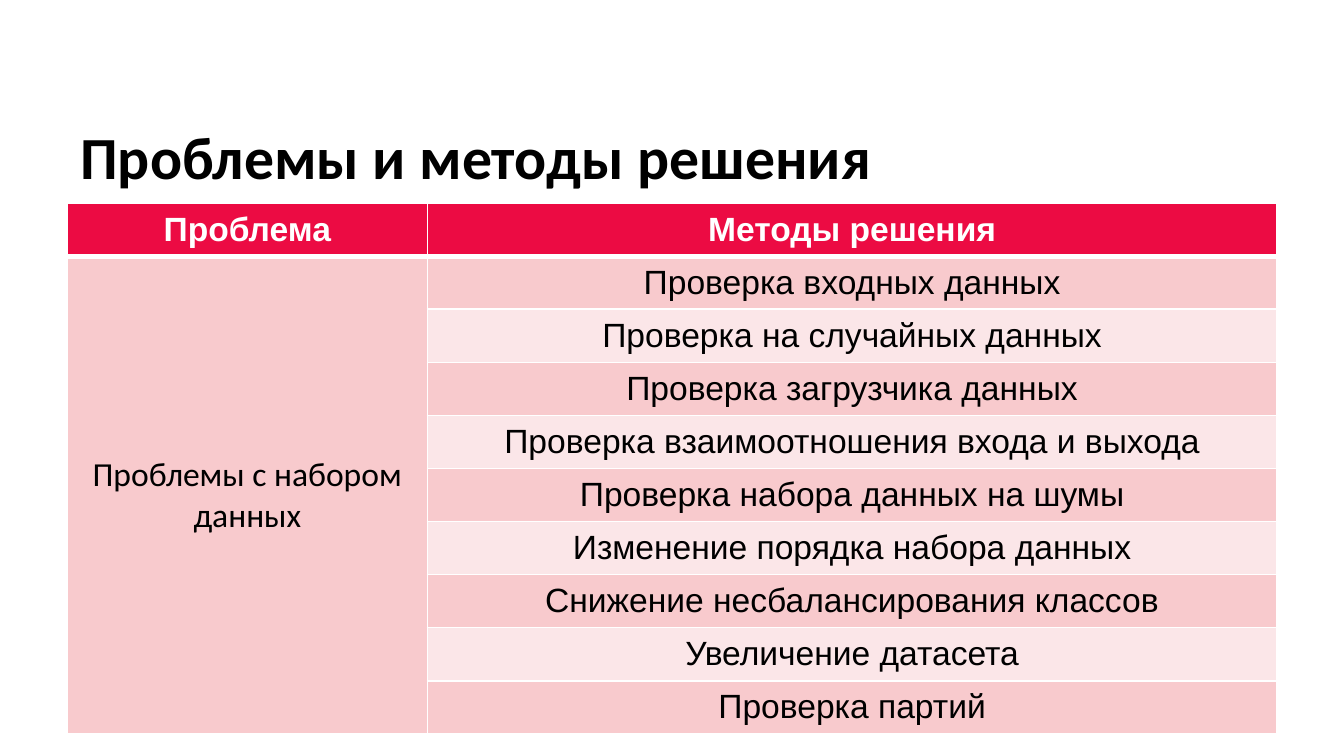
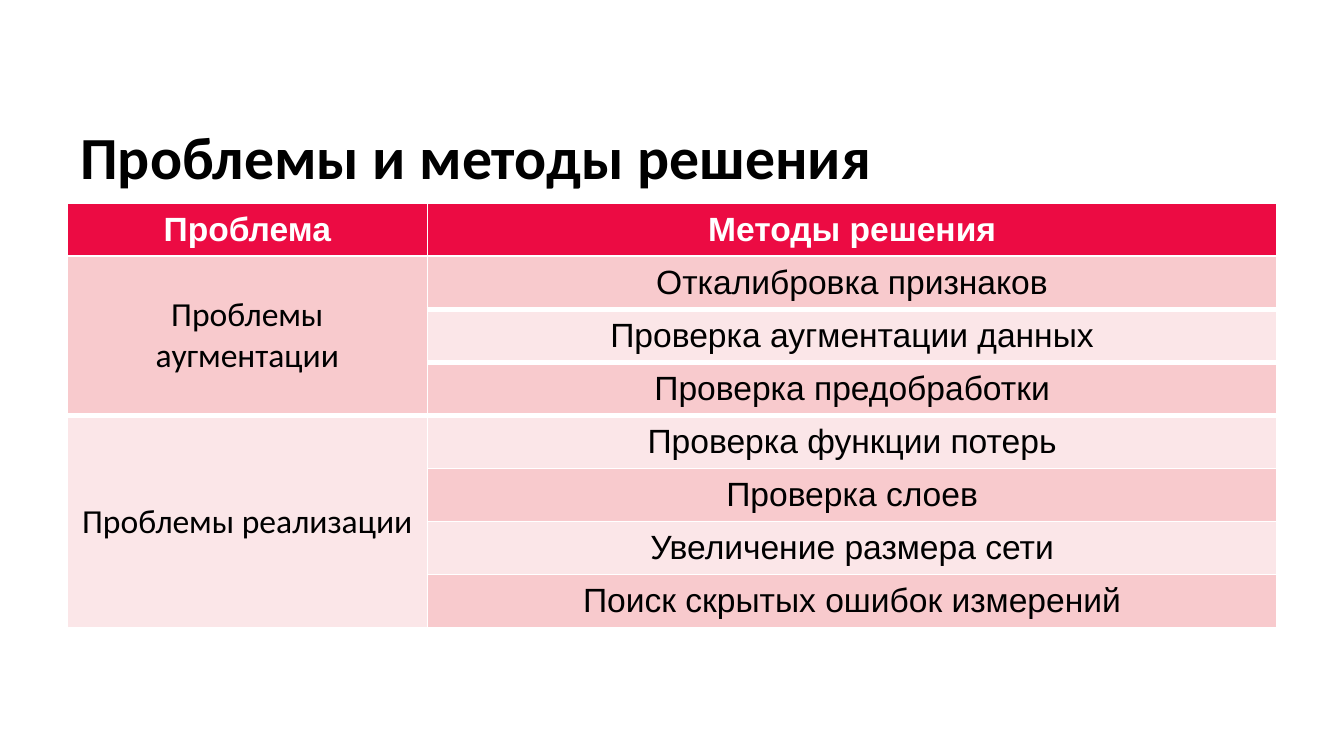
from lxml.etree import SubElement
from pptx import Presentation
from pptx.dml.color import RGBColor
from pptx.enum.text import MSO_ANCHOR as Anchor, PP_ALIGN as Align
from pptx.oxml.ns import qn
from pptx.util import Cm, Pt

BLACK = RGBColor(0x00, 0x00, 0x00)
WHITE = RGBColor(0xFF, 0xFF, 0xFF)
RED = RGBColor(0xEC, 0x0B, 0x43)
BANDS = (RGBColor(0xF8, 0xCA, 0xCD), RGBColor(0xFB, 0xE6, 0xE8))

TITLE = "Проблемы и методы решения"
HEADER = ("Проблема", "Методы решения")
TITLE_BOX = (1.27, 2.08, 17.42, 1.73)
TABLE_BOX = (1.27, 3.84, 22.86)
PROBLEM_W = 6.81
ROW_H = 0.97
THIN, THICK = 1, 3

# Problem groups, and the rows with a thick line below
SLIDES = [
    ([("Проблемы с набором данных", [
        "Проверка входных данных",
        "Проверка на случайных данных",
        "Проверка загрузчика данных",
        "Проверка взаимоотношения входа и выхода",
        "Проверка набора данных на шумы",
        "Изменение порядка набора данных",
        "Снижение несбалансирования классов",
        "Увеличение датасета",
        "Проверка партий",
    ])], {0}),
    ([("Проблемы аугментации", [
        "Откалибровка признаков",
        "Проверка аугментации данных",
        "Проверка предобработки",
    ]), ("Проблемы реализации", [
        "Проверка функции потерь",
        "Проверка слоев",
        "Увеличение размера сети",
        "Поиск скрытых ошибок измерений",
    ])], {1, 2, 3}),
]


def add_run(p, text, font, size, color, bold=False):
    r = p.add_run()
    r.text = text
    r.font.name = font
    r.font.size = Pt(size)
    r.font.bold = bold
    r.font.color.rgb = color


def add_title(s, box, text):
    sp = s.shapes.add_textbox(*map(Cm, box))
    tf = sp.text_frame
    tf.word_wrap = True
    tf.vertical_anchor = Anchor.MIDDLE
    add_run(tf.paragraphs[0], text, "Calibri", 32, BLACK, True)


def set_borders(cell, top, bottom):
    tc_pr = cell._tc.get_or_add_tcPr()
    for side, width in (("L", THIN), ("R", THIN), ("T", top), ("B", bottom)):
        ln = SubElement(tc_pr, qn(f"a:ln{side}"), w=str(Pt(width)))
        fill = SubElement(ln, qn("a:solidFill"))
        SubElement(fill, qn("a:srgbClr"), val=str(WHITE))


def fill_cell(cell, text, first, last, thick, font="Arial"):
    """Style a cell that covers the rows from first to last."""
    is_header = first == 0
    set_borders(cell, THICK if first - 1 in thick else THIN,
                THICK if last in thick else THIN)
    cell.fill.solid()
    cell.fill.fore_color.rgb = RED if is_header else BANDS[(first - 1) % 2]
    cell.vertical_anchor = Anchor.MIDDLE
    cell.margin_top = cell.margin_bottom = Cm(0.12)
    p = cell.text_frame.paragraphs[0]
    p.alignment = Align.CENTER
    add_run(p, text, font, 18, WHITE if is_header else BLACK, is_header)


def add_problem_table(s, box, groups, thick):
    left, top, width = box
    n_rows = 1 + sum(len(methods) for _, methods in groups)
    table = s.shapes.add_table(n_rows, 2, Cm(left), Cm(top), Cm(width),
                               Cm(n_rows * ROW_H)).table
    table.first_row = table.horz_banding = False
    table.columns[0].width = Cm(PROBLEM_W)
    table.columns[1].width = Cm(width - PROBLEM_W)
    for row in table.rows:
        row.height = Cm(ROW_H)

    # Header row
    for col, text in enumerate(HEADER):
        fill_cell(table.cell(0, col), text, 0, 0, thick)

    # One merged problem cell beside its methods
    first = 1
    for problem, methods in groups:
        last = first + len(methods) - 1
        table.cell(first, 0).merge(table.cell(last, 0))
        fill_cell(table.cell(first, 0), problem, first, last, thick, "Calibri")
        for row, method in enumerate(methods, first):
            fill_cell(table.cell(row, 1), method, row, row, thick)
        first = last + 1


def main():
    prs = Presentation()
    prs.slide_width, prs.slide_height = Cm(25.4), Cm(14.29)
    for groups, thick in SLIDES:
        s = prs.slides.add_slide(prs.slide_layouts[6])
        add_title(s, TITLE_BOX, TITLE)
        add_problem_table(s, TABLE_BOX, groups, thick)
    prs.save("out.pptx")


if __name__ == "__main__":
    main()
